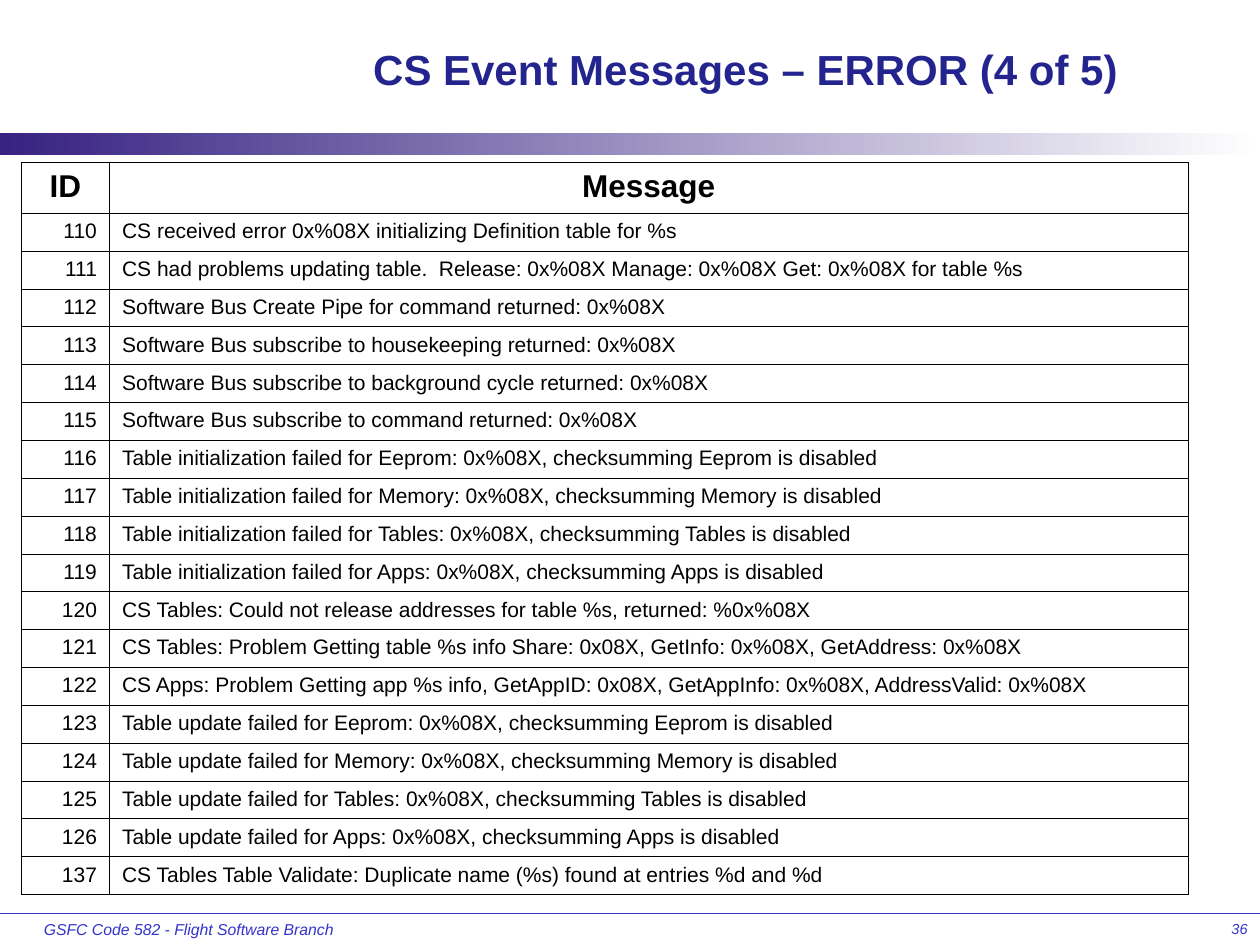
import pptx
import pptx.util
import pptx.dml.color
import pptx.enum.shapes
import pptx.enum.text
import pptx.oxml
import pptx.oxml.ns

Pt = pptx.util.Pt
ALIGN = pptx.enum.text.PP_ALIGN
ANCHOR = pptx.enum.text.MSO_ANCHOR

FONT = "Arial"
BLACK, BLUE, NAVY, PURPLE, WHITE = "000000", "3333CC", "24248E", "372282", "FFFFFF"
SLIDE_W, SLIDE_H = 720, 540
ID_W, HEADER_H, ROW_H = 50.4, 28.8, 21.6

IDS = [*range(110, 127), 137]
MESSAGES = [
    "CS received error 0x%08X initializing Definition table for %s",
    "CS had problems updating table.  Release: 0x%08X Manage: 0x%08X Get: 0x%08X for table %s",
    "Software Bus Create Pipe for command returned: 0x%08X",
    "Software Bus subscribe to housekeeping returned: 0x%08X",
    "Software Bus subscribe to background cycle returned: 0x%08X",
    "Software Bus subscribe to command returned: 0x%08X",
    "Table initialization failed for Eeprom: 0x%08X, checksumming Eeprom is disabled",
    "Table initialization failed for Memory: 0x%08X, checksumming Memory is disabled",
    "Table initialization failed for Tables: 0x%08X, checksumming Tables is disabled",
    "Table initialization failed for Apps: 0x%08X, checksumming Apps is disabled",
    "CS Tables: Could not release addresses for table %s, returned: %0x%08X",
    "CS Tables: Problem Getting table %s info Share: 0x08X, GetInfo: 0x%08X, GetAddress: 0x%08X",
    "CS Apps: Problem Getting app %s info, GetAppID: 0x08X, GetAppInfo: 0x%08X, AddressValid: 0x%08X",
    "Table update failed for Eeprom: 0x%08X, checksumming Eeprom is disabled",
    "Table update failed for Memory: 0x%08X, checksumming Memory is disabled",
    "Table update failed for Tables: 0x%08X, checksumming Tables is disabled",
    "Table update failed for Apps: 0x%08X, checksumming Apps is disabled",
    "CS Tables Table Validate: Duplicate name (%s) found at entries %d and %d",
]


def rgb(color):
    return pptx.dml.color.RGBColor.from_string(color)


def write(tf, text, size, color, align=ALIGN.LEFT, bold=False, italic=False):
    p = tf.paragraphs[0]
    p.text = text
    p.alignment = align
    p.font.name = FONT
    p.font.size = Pt(size)
    p.font.bold = bold
    p.font.italic = italic
    p.font.color.rgb = rgb(color)


def add_text(s, x, y, w, h, text, size, color, wrap=True, anchor=ANCHOR.TOP, **style):
    tf = s.shapes.add_textbox(Pt(x), Pt(y), Pt(w), Pt(h)).text_frame
    tf.word_wrap = wrap
    tf.vertical_anchor = anchor
    write(tf, text, size, color, **style)


def add_title(s, x, y, w, h):
    add_text(s, x, y, w, h, "CS Event Messages – ERROR (4 of 5)", 24, NAVY,
             anchor=ANCHOR.MIDDLE, align=ALIGN.CENTER, bold=True)


def add_band(s, x, y, w, h):
    sp = s.shapes.add_shape(pptx.enum.shapes.MSO_SHAPE.RECTANGLE, Pt(x), Pt(y), Pt(w), Pt(h))
    sp.shadow.inherit = False
    sp.line.fill.background()
    sp.fill.gradient()
    sp.fill.gradient_angle = 0
    for stop, position, color in zip(sp.fill.gradient_stops, (0, 1), (PURPLE, WHITE)):
        stop.position = position
        stop.color.rgb = rgb(color)


def add_borders(cell):
    tc_pr = cell._tc.get_or_add_tcPr()
    for side in ("lnL", "lnR", "lnT", "lnB"):
        tc_pr.append(pptx.oxml.parse_xml(
            f'<a:{side} {pptx.oxml.ns.nsdecls("a")} w="{Pt(0.45)}"><a:solidFill>'
            f'<a:srgbClr val="{BLACK}"/></a:solidFill></a:{side}>'))


def add_message_table(s, x, y, w):
    rows = [("ID", "Message"), *zip(map(str, IDS), MESSAGES)]
    h = HEADER_H + ROW_H * len(IDS)
    table = s.shapes.add_table(len(rows), 2, Pt(x), Pt(y), Pt(w), Pt(h)).table
    table.first_row = False
    table.horz_banding = False
    for column, width in zip(table.columns, (ID_W, w - ID_W)):
        column.width = Pt(width)
    for i, row in enumerate(rows):
        header = i == 0
        table.rows[i].height = Pt(HEADER_H if header else ROW_H)
        for j, text in enumerate(row):
            cell = table.cell(i, j)
            add_borders(cell)
            cell.fill.background()
            align = ALIGN.CENTER if header else (ALIGN.RIGHT, ALIGN.LEFT)[j]
            write(cell.text_frame, text, 18 if header else 12, BLACK, align, bold=header)


def add_footer(s, x, y, w, h):
    rule = s.shapes.add_connector(pptx.enum.shapes.MSO_CONNECTOR.STRAIGHT,
                                  Pt(x), Pt(y), Pt(x + w), Pt(y))
    rule.line.color.rgb = rgb(BLUE)
    rule.line.width = Pt(0.75)
    rule._element.spPr.append(pptx.oxml.parse_xml(f'<a:effectLst {pptx.oxml.ns.nsdecls("a")}/>'))
    add_text(s, x + 18, y, 180, h, "GSFC Code 582 - Flight Software Branch", 9, BLUE,
             wrap=False, italic=True)
    add_text(s, x + w - 150, y, 150, h, "36", 8.3, BLUE, align=ALIGN.RIGHT, italic=True)


def main():
    prs = pptx.Presentation()
    prs.slide_width, prs.slide_height = Pt(SLIDE_W), Pt(SLIDE_H)
    s = prs.slides.add_slide(prs.slide_layouts[6])
    add_band(s, 0, 76.3, SLIDE_W, 12.2)
    add_footer(s, 0, 522, SLIDE_W, 18)
    add_title(s, 150, 12, 552, 55)
    add_message_table(s, 12.2, 93, 666.7)
    prs.save("out.pptx")


if __name__ == "__main__":
    main()
